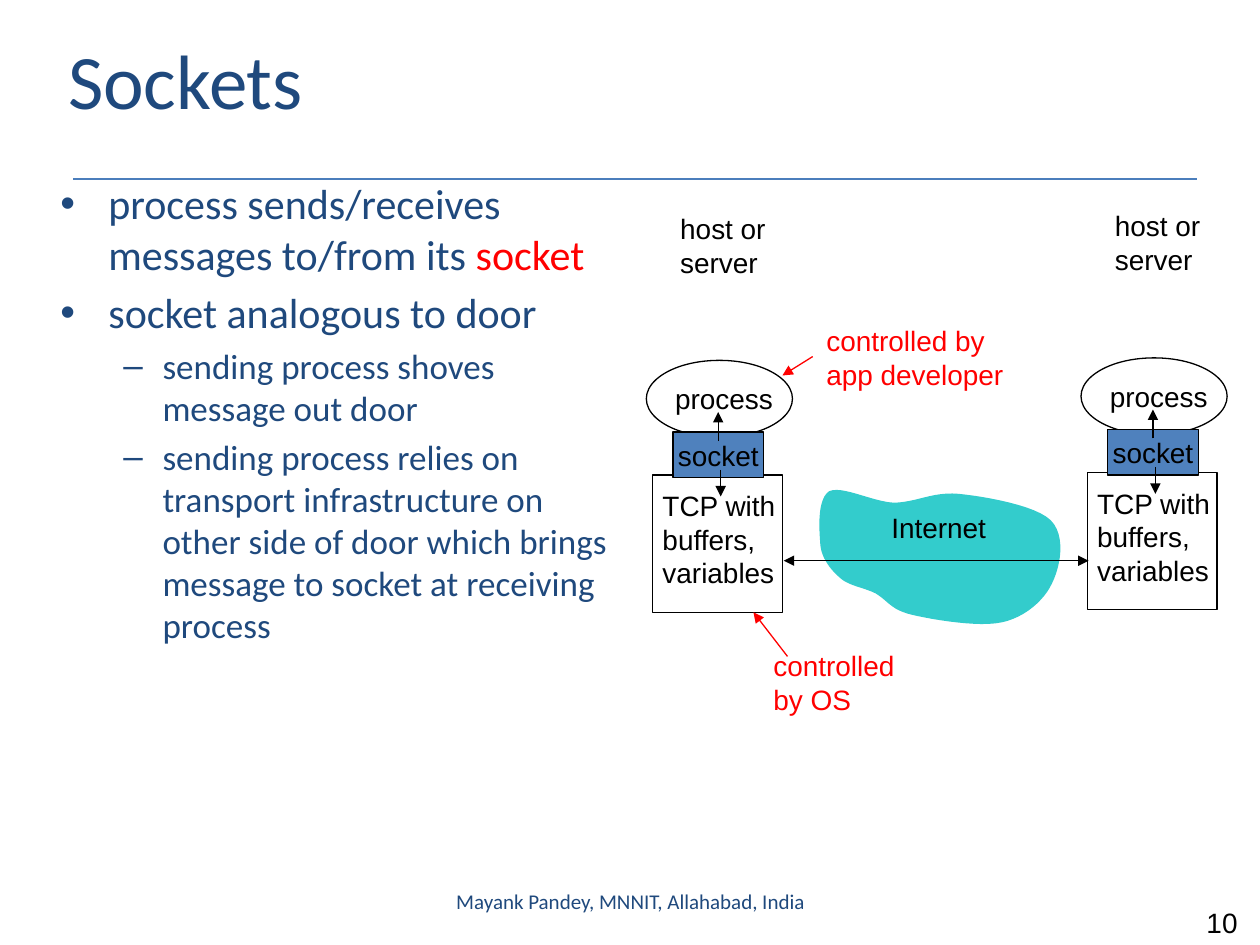
from lxml import etree
from pptx import Presentation
from pptx.dml.color import RGBColor
from pptx.enum.shapes import MSO_CONNECTOR, MSO_SHAPE
from pptx.enum.text import MSO_ANCHOR, MSO_AUTO_SIZE, PP_ALIGN
from pptx.oxml.ns import qn
from pptx.util import Inches, Pt

LEFT, CENTER, RIGHT = PP_ALIGN.LEFT, PP_ALIGN.CENTER, PP_ALIGN.RIGHT
TOP, MIDDLE = MSO_ANCHOR.TOP, MSO_ANCHOR.MIDDLE
FIXED, GROW = MSO_AUTO_SIZE.NONE, MSO_AUTO_SIZE.SHAPE_TO_FIT_TEXT
OVAL, RECT = MSO_SHAPE.OVAL, MSO_SHAPE.RECTANGLE
STRAIGHT = MSO_CONNECTOR.STRAIGHT

NAVY, BLACK, RED = "1F497D", "000000", "FF0000"
RULE, SOCKET, CLOUD = "4B7EBC", "4F81BD", "33CCCC"

# Level: bullet, left margin, hanging indent, text size
BULLETS = [("•", 0.38, 0.38, 24), ("–", 0.81, 0.31, 20)]
BODY = [
    (0, [("process sends/receives messages to/from its ", NAVY), ("socket", RED)]),
    (0, [("socket analogous to door", NAVY)]),
    (1, [("sending process shoves message out door", NAVY)]),
    (1, [("sending process relies on transport infrastructure on other side of "
          "door which brings message to socket at receiving process", NAVY)]),
]

# Start point, then two control points and an end point for each curve
CLOUD_START = (6.51, 4.3)
CLOUD_CURVES = [
    ((6.5, 4.18), (6.49, 3.96), (6.58, 3.9)),
    ((6.68, 3.85), (6.92, 3.98), (7.09, 3.99)),
    ((7.27, 3.99), (7.4, 3.9), (7.61, 3.92)),
    ((7.81, 3.94), (8.22, 4.01), (8.34, 4.13)),
    ((8.46, 4.25), (8.42, 4.49), (8.35, 4.63)),
    ((8.29, 4.76), (8.14, 4.9), (7.95, 4.94)),
    ((7.77, 4.98), (7.41, 4.92), (7.24, 4.88)),
    ((7.07, 4.84), (7.05, 4.77), (6.95, 4.71)),
    ((6.85, 4.66), (6.73, 4.65), (6.66, 4.58)),
    ((6.58, 4.51), (6.51, 4.41), (6.51, 4.3)),
]


def rgb(color):
    return RGBColor.from_string(color)


def place(sp, x, y, w, h):
    sp.left, sp.top, sp.width, sp.height = map(Inches, (x, y, w, h))


def add_run(p, text, size=16, font="Arial", color=BLACK):
    r = p.add_run()
    r.text = text
    r.font.size = Pt(size)
    r.font.name = font
    r.font.color.rgb = rgb(color)


def set_text(tf, text, align=LEFT, anchor=TOP, wrap=False, fit=GROW, **font):
    """Write each line of the text as a paragraph."""
    tf.word_wrap = wrap
    tf.auto_size = fit
    tf.vertical_anchor = anchor
    for i, line in enumerate(text.split("\n")):
        p = tf.add_paragraph() if i else tf.paragraphs[0]
        p.alignment = align
        add_run(p, line, **font)


def add_label(shapes, text, x, y, w, h, **form):
    sp = shapes.add_textbox(*map(Inches, (x, y, w, h)))
    set_text(sp.text_frame, text, **form)


def add_box(shapes, kind, x, y, w, h, fill=None):
    sp = shapes.add_shape(kind, *map(Inches, (x, y, w, h)))
    sp.shadow.inherit = False
    if fill:
        sp.fill.solid()
        sp.fill.fore_color.rgb = rgb(fill)
    else:
        sp.fill.background()
    sp.line.color.rgb = rgb(BLACK)
    sp.line.width = Pt(0.75)
    return sp


def add_line(shapes, x1, y1, x2, y2, color=BLACK, ends=("tailEnd",)):
    """Draw a line with an arrowhead at each of the named ends."""
    sp = shapes.add_connector(STRAIGHT, *map(Inches, (x1, y1, x2, y2)))
    sp.line.color.rgb = rgb(color)
    sp.line.width = Pt(0.75)
    ln = sp.line._get_or_add_ln()
    for end in ends:
        etree.SubElement(ln, qn(f"a:{end}"), type="triangle")
    etree.SubElement(ln.getparent(), qn("a:effectLst"))


def add_bullets(sp):
    tf = sp.text_frame
    tf.word_wrap = True
    tf.auto_size = FIXED
    for i, (level, runs) in enumerate(BODY):
        char, margin, hang, size = BULLETS[level]
        p = tf.add_paragraph() if i else tf.paragraphs[0]
        p.level = level
        p.space_before = Pt(0.2 * size if i else 0)
        pPr = p._p.get_or_add_pPr()
        pPr.set("marL", str(Inches(margin)))
        pPr.set("indent", str(-Inches(hang)))
        etree.SubElement(pPr, qn("a:buFont"), typeface="Arial")
        etree.SubElement(pPr, qn("a:buChar"), char=char)
        for text, color in runs:
            add_run(p, text, size=size, font="Calibri", color=color)


def add_cloud(shapes, steps=12):
    """Trace the cubic curves of the cloud with short segments."""
    points, a = [], CLOUD_START
    for b, c, d in CLOUD_CURVES:
        for t in (n / steps for n in range(1, steps + 1)):
            u = 1 - t
            points.append(tuple(
                Inches(u**3 * a[k] + 3 * u * u * t * b[k] + 3 * u * t * t * c[k] + t**3 * d[k])
                for k in (0, 1)))
        a = d
    builder = shapes.build_freeform(*map(Inches, CLOUD_START), scale=1.0)
    builder.add_line_segments(points, close=True)
    sp = builder.convert_to_shape()
    sp.shadow.inherit = False
    sp.fill.solid()
    sp.fill.fore_color.rgb = rgb(CLOUD)
    sp.line.fill.background()


def add_host(s, x, y):
    """Draw one host; x and y are the corner of its process ellipse."""
    shapes = s.shapes.add_group_shape().shapes
    add_box(shapes, OVAL, x, y, 1.16, 0.61)
    add_label(shapes, "process", x + 0.13, y + 0.12, 0.98, 0.37)
    add_box(shapes, RECT, x + 0.05, y + 0.91, 1.03, 1.09)
    add_label(shapes, "TCP with\nbuffers,\nvariables", x + 0.03, y + 0.97, 1.1, 0.9)
    sp = add_box(shapes, RECT, x + 0.21, y + 0.57, 0.72, 0.36, fill=SOCKET)
    set_text(sp.text_frame, "socket", align=CENTER, anchor=MIDDLE, fit=FIXED)
    add_line(shapes, x + 0.57, y + 0.64, x + 0.57, y + 0.41)
    add_line(shapes, x + 0.59, y + 0.87, x + 0.59, y + 1.08)
    add_label(shapes, "host or\nserver", x + 0.17, y - 1.23, 0.88, 0.64)


def main():
    prs = Presentation()
    prs.slide_width, prs.slide_height = Inches(10), Inches(7.5)
    s = prs.slides.add_slide(prs.slide_layouts[1])
    title, body = s.placeholders

    # Title, rule and bullet list
    add_line(s.shapes, 0.58, 1.42, 9.5, 1.42, color=RULE, ends=())
    place(title, 0.44, 0, 8.83, 1.25)
    set_text(title.text_frame, "Sockets", anchor=MIDDLE, wrap=True, fit=FIXED,
             size=44, font="Calibri", color=NAVY)
    place(body, 0.38, 1.36, 4.6, 4.3)
    add_bullets(body)

    # Network and the two hosts
    add_cloud(s.shapes)
    add_host(s, 5.13, 2.86)
    add_host(s, 8.58, 2.84)
    add_label(s.shapes, "Internet", 6.97, 4, 0.96, 0.37, align=CENTER)
    add_line(s.shapes, 6.22, 4.45, 8.64, 4.45, ends=("headEnd", "tailEnd"))

    # Notes on who controls what
    add_label(s.shapes, "controlled\nby OS", 6.04, 5.1, 1.16, 0.9, color=RED)
    add_line(s.shapes, 6.25, 5.21, 5.98, 4.86, color=RED)
    add_label(s.shapes, "controlled by\napp developer", 6.46, 2.52, 1.61, 0.64, color=RED)
    add_line(s.shapes, 6.45, 2.83, 6.21, 2.98, color=RED)

    # Slide number and footer
    add_label(s.shapes, "10", 8.33, 7.14, 1.59, 0.31, align=RIGHT, wrap=True, fit=FIXED)
    add_label(s.shapes, "Mayank Pandey, MNNIT, Allahabad, India", 3.42, 6.95, 3.17, 0.4,
              align=CENTER, anchor=MIDDLE, wrap=True, fit=FIXED,
              size=12, font="Calibri", color=NAVY)

    prs.save("out.pptx")


if __name__ == "__main__":
    main()
